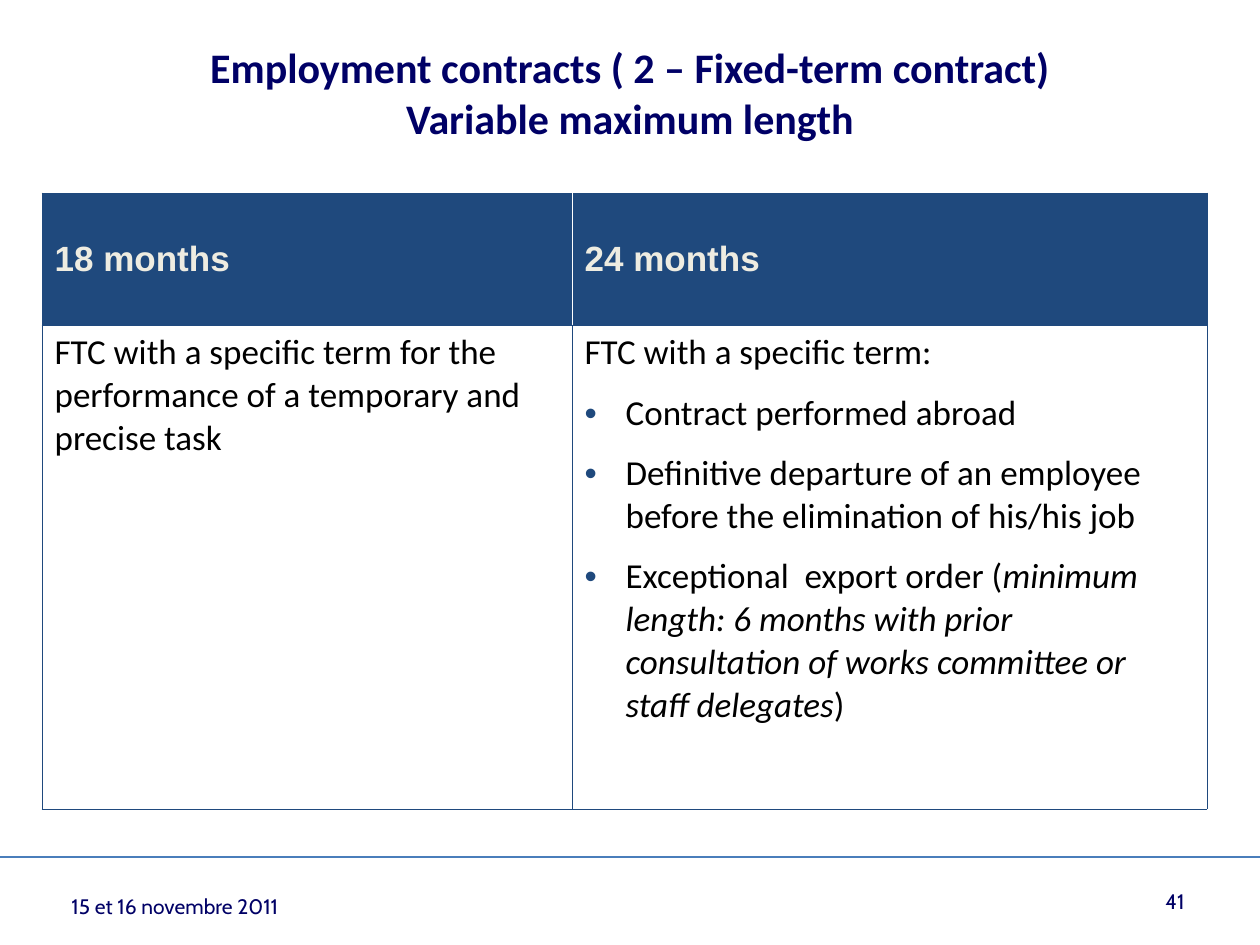
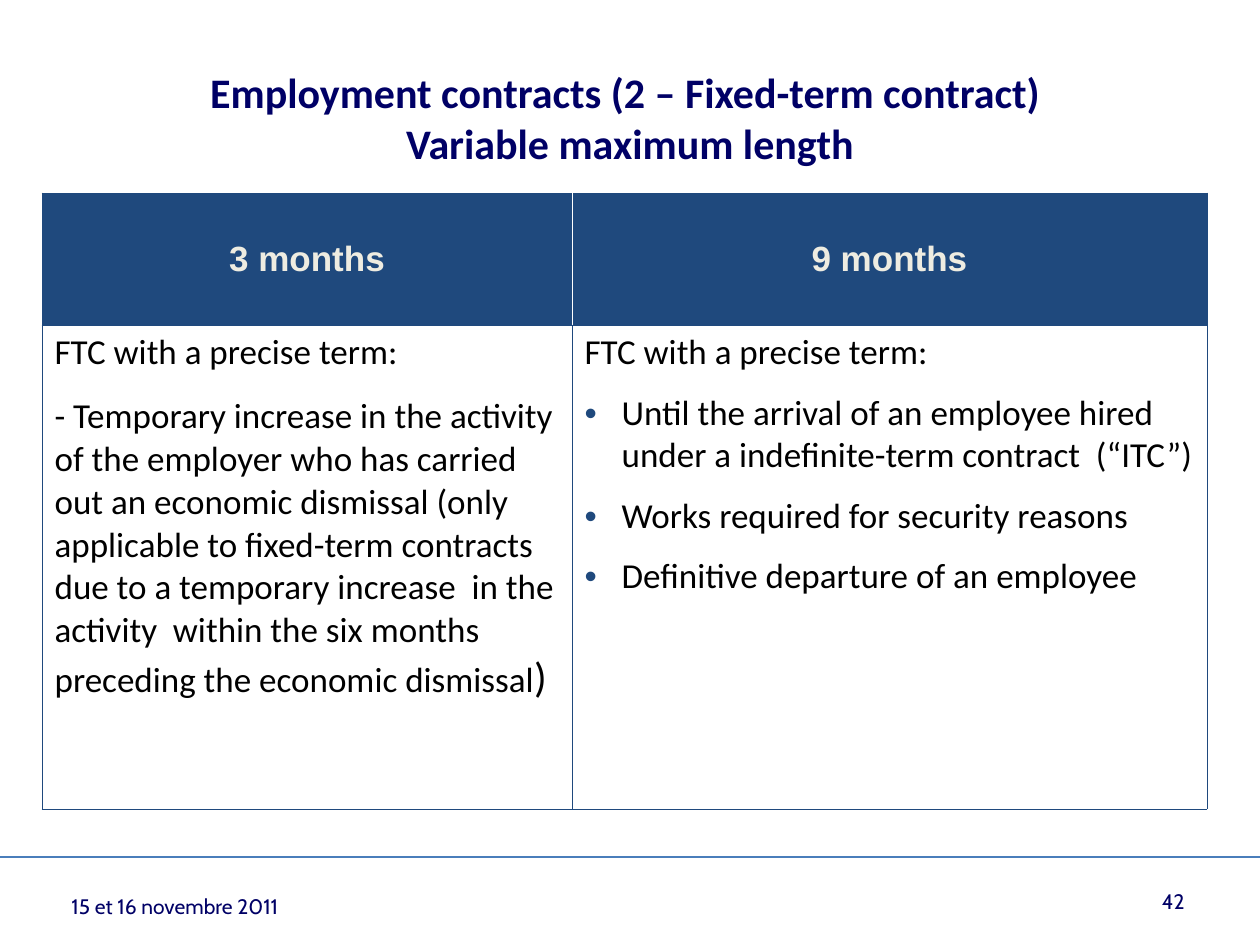
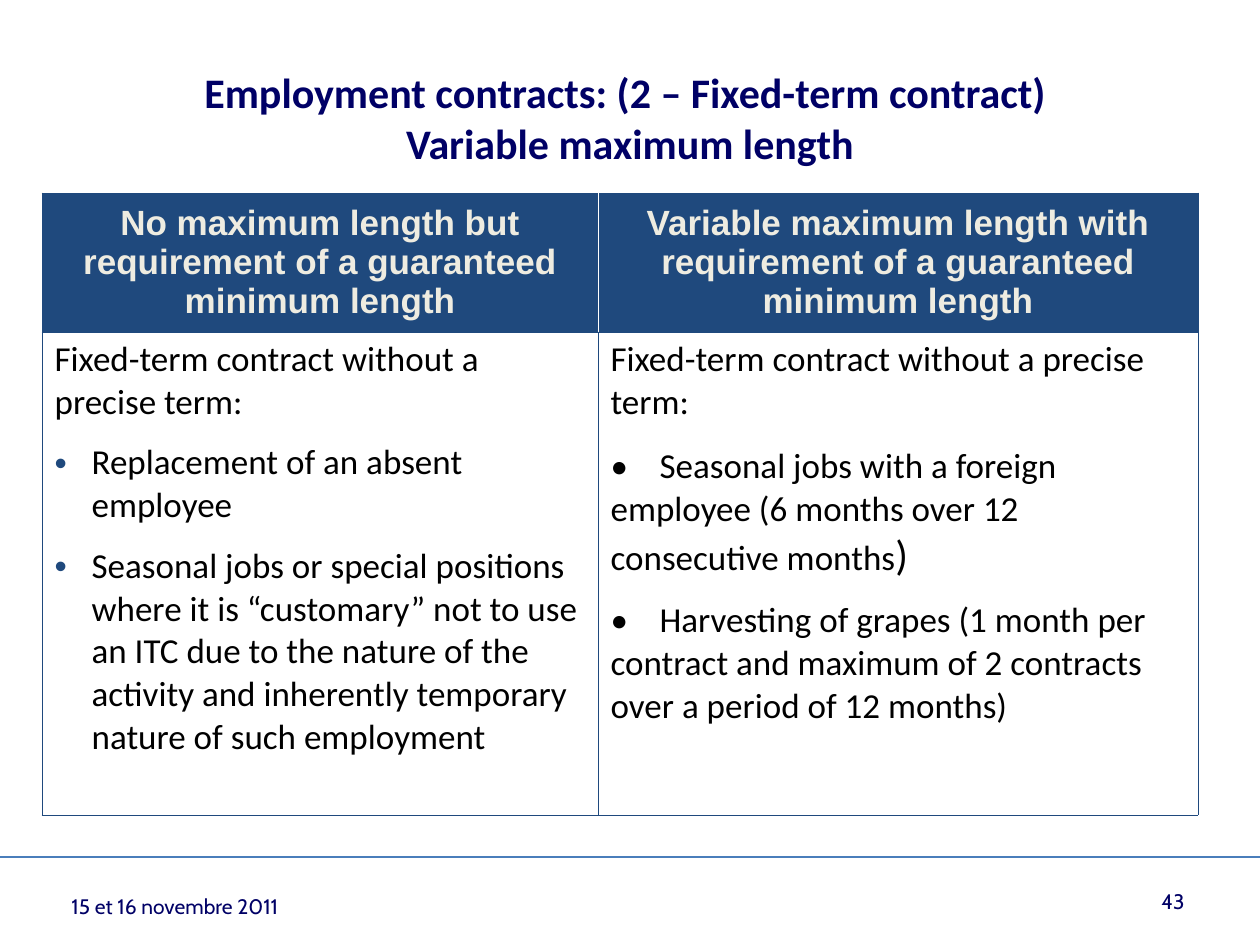
"""Build three slides on the maximum length of fixed-term contracts."""
import pptx
import pptx.dml.color
import pptx.enum.shapes
import pptx.enum.text
import pptx.oxml
import pptx.oxml.ns
import pptx.util
from lxml import etree

COLORS = {"navy": "000066", "blue": "1F497D", "cream": "EEECE1",
          "rule": "4A7EBB", "black": "000000", "white": "FFFFFF"}
ALIGN = pptx.enum.text.PP_ALIGN
MIDDLE = pptx.enum.text.MSO_ANCHOR.MIDDLE
SLIDE_W, SLIDE_H = 1260, 945
TABLE_LEFT, TABLE_TOP = 42, 193
TAB_STOP = 49

SLIDES = [
    {"title": "Employment contracts ( 2 – Fixed-term contract)\vVariable maximum length",
     "title_top": 13, "number": 41, "cols": [530, 635], "rows": [132, 484],
     "header_align": ALIGN.JUSTIFY, "hang": 41,
     "headers": ["18 months", "24 months"],
     "bodies": [
         [("plain", "FTC with a specific term for the performance of a temporary and precise task")],
         [("plain", "FTC with a specific term:"),
          ("bullet", "Contract performed abroad"),
          ("bullet", "Definitive departure of an employee before the elimination of his/his job"),
          ("bullet", "Exceptional  export order (",
           ("minimum length: 6 months with prior consultation of works committee"
            " or staff delegates", {"italic": True}),
           (")", {}))]]},
    {"title": "Employment contracts (2 – Fixed-term contract) \vVariable maximum length",
     "title_top": 38, "number": 42, "cols": [530, 635], "rows": [132, 484],
     "header_align": ALIGN.CENTER, "hang": 37,
     "headers": ["3 months", "9 months"],
     "bodies": [
         [("plain", "FTC with a precise term:"),
          ("spaced", "- Temporary increase in the activity of the employer who has carried out"
           " an economic dismissal (only applicable to fixed-term contracts due to a temporary"
           " increase  in the activity  within the six months preceding the economic dismissal",
           (")", {"size": 24}))],
         [("plain", "FTC with a precise term:"),
          ("bullet", "Until the arrival of an employee hired under a indefinite-term"
           " contract  (“ITC”)"),
          ("bullet", "Works required for security reasons"),
          ("bullet", "Definitive departure of an employee")]]},
    {"title": "Employment contracts: (2 – Fixed-term contract) \vVariable maximum length",
     "title_top": 38, "number": 43, "cols": [556, 600], "rows": [139, 483],
     "header_align": ALIGN.CENTER, "hang": 37,
     "headers": ["No maximum length but requirement of a guaranteed minimum length",
                 "Variable maximum length with requirement of a guaranteed minimum length"],
     "bodies": [
         [("plain", "Fixed-term contract without a precise term:"),
          ("bullet", "Replacement of an absent employee"),
          ("bullet", "Seasonal jobs or special positions where it is “customary” not to use"
           " an ITC due to the nature of the activity and inherently temporary nature of"
           " such employment")],
         [("plain", "Fixed-term contract without a precise term:"),
          ("spaced", "•\tSeasonal jobs with a foreign employee (6 months over 12"
           " consecutive months", (")", {"size": 24})),
          ("plain", "•\tHarvesting of grapes (1 month per contract and maximum of 2"
           " contracts over a period of 12 months)")]]},
]


def px(n):
    """Turn pixels into EMU."""
    return pptx.util.Emu(round(n * 914400 / 126))


def rgb(name):
    """Look up a named colour."""
    return pptx.dml.color.RGBColor.from_string(COLORS[name])


def child(parent, tag, **attrs):
    """Append a drawing element to a parent."""
    el = etree.SubElement(parent, pptx.oxml.ns.qn(tag))
    for key, value in attrs.items():
        el.set(key, str(value))
    return el


def style(r, size, font, color, bold=False, italic=False):
    """Format one run."""
    r.font.size = pptx.util.Pt(size)
    r.font.name = font
    r.font.bold = bold
    r.font.italic = italic
    r.font.color.rgb = rgb(color)


def add_text(s, box, text, align, size, font, bold=False, anchor=MIDDLE):
    """Add a one-paragraph navy text box."""
    tf = s.shapes.add_textbox(*map(px, box)).text_frame
    tf.word_wrap = True
    tf.vertical_anchor = anchor
    tf.text = text
    p = tf.paragraphs[0]
    p.alignment = align
    for r in p.runs:
        style(r, size, font, "navy", bold)


def add_footer(s, top, number):
    """Add the rule, date and slide number."""
    line = s.shapes.add_connector(pptx.enum.shapes.MSO_CONNECTOR.STRAIGHT,
                                  0, px(top), px(SLIDE_W), px(top))
    line.line.color.rgb = rgb("rule")
    line.line.width = pptx.util.Pt(0.75)
    child(line._element.spPr, "a:effectLst")
    add_text(s, (59, top + 30, 333, 38), "15 et 16 novembre 2011", ALIGN.LEFT, 12, "Cabin",
             anchor=pptx.enum.text.MSO_ANCHOR.TOP)
    add_text(s, (903, top + 19, 294, 50), str(number), ALIGN.RIGHT, 12, "Cabin")


def set_borders(cell, **special):
    """Draw thin blue cell borders, with other colours for given sides."""
    tcPr = cell._tc.get_or_add_tcPr()
    for side in "LRTB":
        ln = child(tcPr, "a:ln" + side, w=pptx.util.Pt(0.45))
        fill = child(ln, "a:solidFill")
        child(fill, "a:srgbClr", val=COLORS[special.get(side, "blue")])


def fill_header(cell, text, align, inner_side):
    """Fill a header cell, with a white border on its inner side."""
    set_borders(cell, **{inner_side: "white"})
    cell.fill.solid()
    cell.fill.fore_color.rgb = rgb("blue")
    cell.vertical_anchor = MIDDLE
    cell.text_frame.text = text
    p = cell.text_frame.paragraphs[0]
    p.alignment = align
    style(p.runs[0], 20, "Arial", "cream", bold=True)


def fill_body(cell, items, hang):
    """Fill a body cell with plain, spaced and bulleted paragraphs."""
    set_borders(cell)
    cell.fill.background()
    tf = cell.text_frame
    for i, (kind, text, *tails) in enumerate(items):
        p = tf.add_paragraph() if i else tf.paragraphs[0]
        pPr = p._p.get_or_add_pPr()
        if kind == "bullet":
            pPr.set("marL", str(px(hang)))
            pPr.set("indent", str(-px(hang)))
            child(child(pPr, "a:buClr"), "a:srgbClr", val=COLORS["blue"])
            child(pPr, "a:buFont", typeface="Arial")
            child(pPr, "a:buChar", char="•")
        elif "\t" in text:
            child(child(pPr, "a:tabLst"), "a:tab", pos=px(TAB_STOP), algn="l")
        if i:
            p.space_before = pptx.util.Pt(12 if kind == "spaced" else 10)
        p.text = text
        style(p.runs[0], 20, "Calibri", "black")
        for tail, changes in tails:
            r = p.add_run()
            r.text = tail
            style(r, **{"size": 20, "font": "Calibri", "color": "black", **changes})


def add_terms_table(s, left, top, data):
    """Add the two-column table of contract lengths."""
    cols, rows = data["cols"], data["rows"]
    table = s.shapes.add_table(2, 2, px(left), px(top), px(sum(cols)), px(sum(rows))).table
    for row, height in zip(table.rows, rows):
        row.height = px(height)
    for i, width in enumerate(cols):
        table.columns[i].width = px(width)
        fill_header(table.cell(0, i), data["headers"][i], data["header_align"], "RL"[i])
        fill_body(table.cell(1, i), data["bodies"][i], data["hang"])


def add_contract_slide(prs, data):
    """Add one slide with title, table and footer."""
    s = prs.slides.add_slide(prs.slide_layouts[6])
    add_text(s, (63, data["title_top"], 1134, 158), data["title"], ALIGN.CENTER,
             24, "Calibri", bold=True)
    add_terms_table(s, TABLE_LEFT, TABLE_TOP, data)
    add_footer(s, 857, data["number"])


def main():
    """Build and save the presentation."""
    prs = pptx.Presentation()
    prs.slide_width, prs.slide_height = px(SLIDE_W), px(SLIDE_H)
    for data in SLIDES:
        add_contract_slide(prs, data)
    prs.save("out.pptx")


if __name__ == "__main__":
    main()
